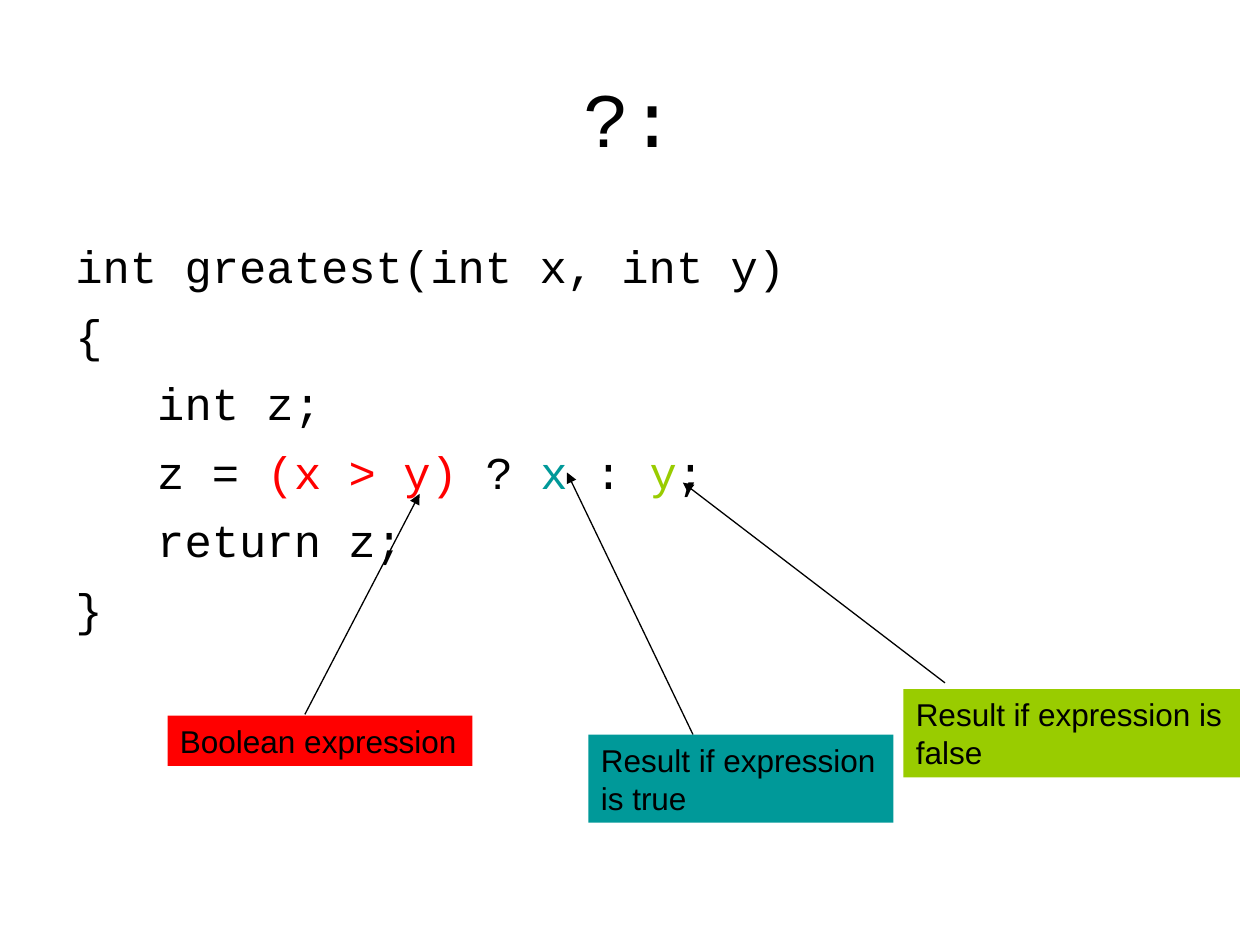
from dataclasses import dataclass

from lxml import etree
from pptx import Presentation
from pptx.dml.color import RGBColor
from pptx.enum.shapes import MSO_CONNECTOR, MSO_SHAPE
from pptx.enum.text import MSO_ANCHOR, PP_ALIGN
from pptx.oxml.ns import qn
from pptx.slide import Slide
from pptx.util import Inches, Pt

STRAIGHT = MSO_CONNECTOR.STRAIGHT
RECTANGLE = MSO_SHAPE.RECTANGLE
MIDDLE = MSO_ANCHOR.MIDDLE
TOP = MSO_ANCHOR.TOP
LEFT = PP_ALIGN.LEFT
CENTER = PP_ALIGN.CENTER

BLACK = "000000"
RED = "FF0000"
TEAL = "009999"
GREEN = "99CC00"

CODE = [
    [("int greatest(int x, int y)", BLACK)],
    [("{", BLACK)],
    [("   int z;", BLACK)],
    [("   z = ", BLACK), ("(x > y)", RED), (" ? ", BLACK), ("x", TEAL),
     (" : ", BLACK), ("y", GREEN), (";", BLACK)],
    [("   return z;", BLACK)],
    [("}", BLACK)],
]
ARROWS = [
    ((2.42, 5.67), (3.33, 3.92)),
    ((5.5, 5.83), (4.5, 3.75)),
    ((7.5, 5.42), (5.42, 3.83)),
]
LABELS = [
    ("Boolean expression", (1.33, 5.68, 2.42, 0.4), RED),
    ("Result if expression is true", (4.67, 5.83, 2.42, 0.7), TEAL),
    ("Result if expression is false", (7.17, 5.47, 2.67, 0.7), GREEN),
]


def rgb(value):
    return RGBColor.from_string(value)


@dataclass
class SlideBuilder:
    """Holds the style and the current slide, and adds each kind of element."""

    slide: Slide
    code_font: str = "Courier New"
    label_font: str = "Arial"

    def set_font(self, paragraph, name, size):
        paragraph.font.name = name
        paragraph.font.size = Pt(size)
        paragraph.font.color.rgb = rgb(BLACK)

    def title(self, text, box):
        shape = self.slide.shapes.title
        shape.left, shape.top, shape.width, shape.height = map(Inches, box)
        frame = shape.text_frame
        frame.text = text
        frame.vertical_anchor = MIDDLE
        paragraph = frame.paragraphs[0]
        paragraph.alignment = CENTER
        self.set_font(paragraph, self.code_font, 44)

    def code(self, lines, box):
        frame = self.slide.shapes.add_textbox(*map(Inches, box)).text_frame
        frame.word_wrap = True
        frame.margin_top = Inches(0.14)
        for index, line in enumerate(lines):
            paragraph = frame.add_paragraph() if index else frame.paragraphs[0]
            if index:
                paragraph.space_before = Pt(8)
            self.set_font(paragraph, self.code_font, 26)
            for text, color in line:
                run = paragraph.add_run()
                run.text = text
                if color != BLACK:
                    run.font.color.rgb = rgb(color)

    def arrow(self, start, end):
        connector = self.slide.shapes.add_connector(
            STRAIGHT, *map(Inches, start + end))
        connector.line.color.rgb = rgb(BLACK)
        connector.line.width = Pt(0.75)
        line = connector.line._get_or_add_ln()
        etree.SubElement(line, qn("a:tailEnd"), type="triangle")
        etree.SubElement(connector._element.spPr, qn("a:effectLst"))

    def label(self, text, box, color):
        shape = self.slide.shapes.add_shape(RECTANGLE, *map(Inches, box))
        shape.shadow.inherit = False
        shape.fill.solid()
        shape.fill.fore_color.rgb = rgb(color)
        shape.line.fill.background()
        frame = shape.text_frame
        frame.text = text
        frame.word_wrap = True
        frame.vertical_anchor = TOP
        paragraph = frame.paragraphs[0]
        paragraph.alignment = LEFT
        self.set_font(paragraph, self.label_font, 18)


def main():
    presentation = Presentation()
    presentation.slide_width = Inches(10)
    presentation.slide_height = Inches(7.5)
    slide = presentation.slides.add_slide(presentation.slide_layouts[5])
    builder = SlideBuilder(slide)
    builder.title("?:", (0.5, 0.3, 9, 1.25))
    builder.code(CODE, (0.5, 1.75, 9, 4.95))
    for start, end in ARROWS:
        builder.arrow(start, end)
    for text, box, color in LABELS:
        builder.label(text, box, color)
    presentation.save("out.pptx")


if __name__ == "__main__":
    main()
